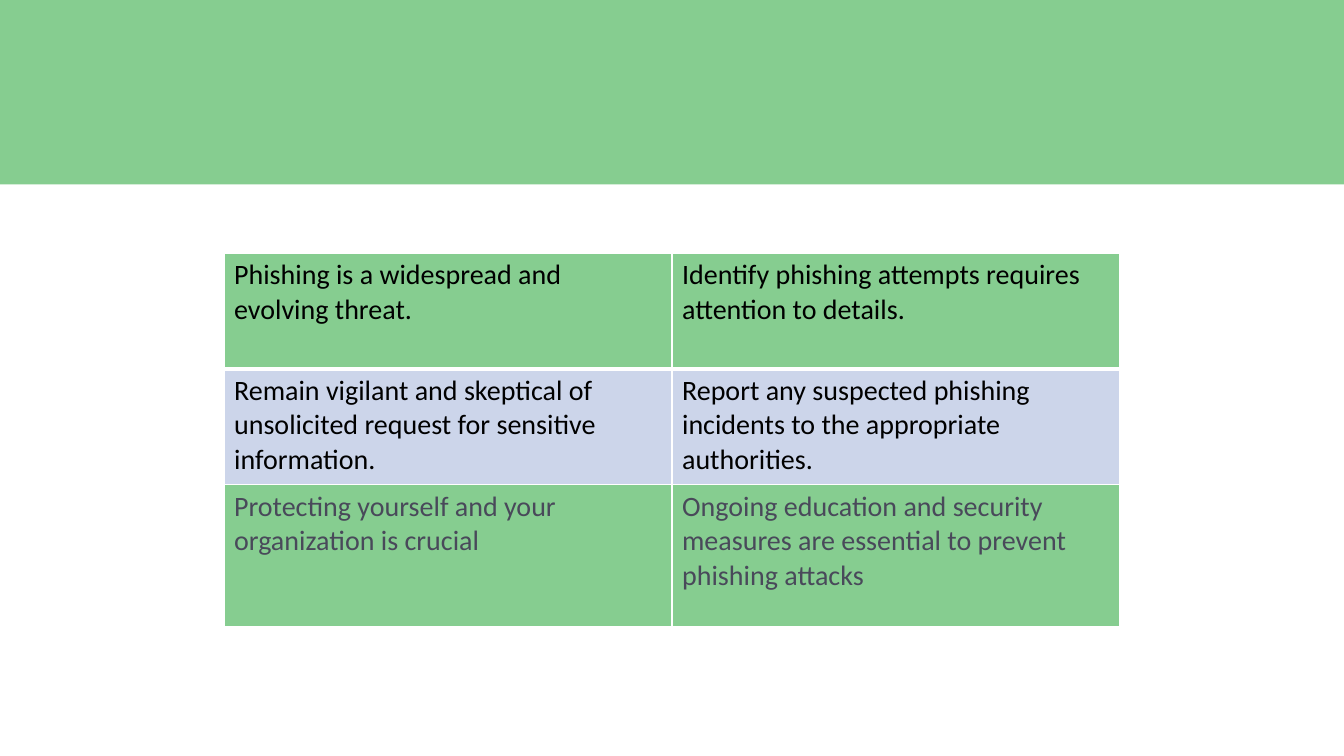
from dataclasses import dataclass

import pptx
import pptx.dml.color
import pptx.enum.shapes
import pptx.oxml.ns
import pptx.util
from lxml import etree

RGBColor = pptx.dml.color.RGBColor

GREEN = RGBColor(0x86, 0xCD, 0x90)
LAVENDER = RGBColor(0xCC, 0xD5, 0xEA)
BLACK = RGBColor(0x00, 0x00, 0x00)
SLATE = RGBColor(0x49, 0x49, 0x5A)
WHITE = RGBColor(0xFF, 0xFF, 0xFF)

FONT = "Calibri"
TEXT_SIZE = pptx.util.Pt(20)
THIN, THICK = pptx.util.Pt(1), pptx.util.Pt(3)

# Shares of the slide's width and height
BAND_HEIGHT = 1.83 / 7.5
TABLE_LEFT, TABLE_TOP = 1 / 6, 2.51 / 7.5
COLUMN_WIDTH = 1 / 3
ROW_HEIGHT, LAST_ROW_HEIGHT = 1.15 / 7.5, 1.41 / 7.5


@dataclass(frozen=True)
class TakeawayRow:
    texts: tuple[str, str]
    fill: RGBColor
    color: RGBColor
    height: float = ROW_HEIGHT
    top_line: int = THIN
    bottom_line: int = THIN


ROWS = (
    TakeawayRow(("Phishing is a widespread and evolving threat.",
                 "Identify phishing attempts requires attention to details."),
                GREEN, BLACK, bottom_line=THICK),
    TakeawayRow(("Remain vigilant and skeptical of unsolicited request for "
                 "sensitive information.",
                 "Report any suspected phishing incidents to the appropriate "
                 "authorities."),
                LAVENDER, BLACK, top_line=THICK),
    TakeawayRow(("Protecting yourself and your organization is crucial",
                 "Ongoing education and security measures are essential to "
                 "prevent phishing attacks"),
                GREEN, SLATE, LAST_ROW_HEIGHT),
)


def add_border(cell, side: str, width: int) -> None:
    qn = pptx.oxml.ns.qn
    tcPr = cell._tc.get_or_add_tcPr()
    ln = etree.SubElement(tcPr, qn(f"a:ln{side}"), w=str(int(width)))
    fill = etree.SubElement(ln, qn("a:solidFill"))
    etree.SubElement(fill, qn("a:srgbClr"), val=str(WHITE))


def format_cell(cell, text: str, row: TakeawayRow) -> None:
    for side, width in (("L", THIN), ("R", THIN),
                        ("T", row.top_line), ("B", row.bottom_line)):
        add_border(cell, side, width)
    cell.fill.solid()
    cell.fill.fore_color.rgb = row.fill
    tf = cell.text_frame
    tf.text = text
    font = tf.paragraphs[0].runs[0].font
    font.name, font.size, font.bold = FONT, TEXT_SIZE, False
    font.color.rgb = row.color


def add_band(slide, width: int, height: int) -> None:
    sp = slide.shapes.add_shape(
        pptx.enum.shapes.MSO_SHAPE.RECTANGLE, 0, 0, width, height)
    sp.shadow.inherit = False
    sp.fill.solid()
    sp.fill.fore_color.rgb = GREEN
    sp.line.fill.background()


def add_takeaways(slide, width: int, height: int) -> None:
    columns = len(ROWS[0].texts)
    table = slide.shapes.add_table(
        len(ROWS), columns,
        int(TABLE_LEFT * width), int(TABLE_TOP * height),
        int(columns * COLUMN_WIDTH * width),
        int(sum(row.height for row in ROWS) * height)).table
    for r, row in enumerate(ROWS):
        table.rows[r].height = int(row.height * height)
        for c, text in enumerate(row.texts):
            format_cell(table.cell(r, c), text, row)


def main() -> None:
    prs = pptx.Presentation()
    prs.slide_width = pptx.util.Inches(13.33)
    prs.slide_height = pptx.util.Inches(7.5)
    slide = prs.slides.add_slide(prs.slide_layouts[6])

    # Header band
    add_band(slide, prs.slide_width, int(BAND_HEIGHT * prs.slide_height))
    # Table of takeaways
    add_takeaways(slide, prs.slide_width, prs.slide_height)

    prs.save("out.pptx")


if __name__ == "__main__":
    main()
